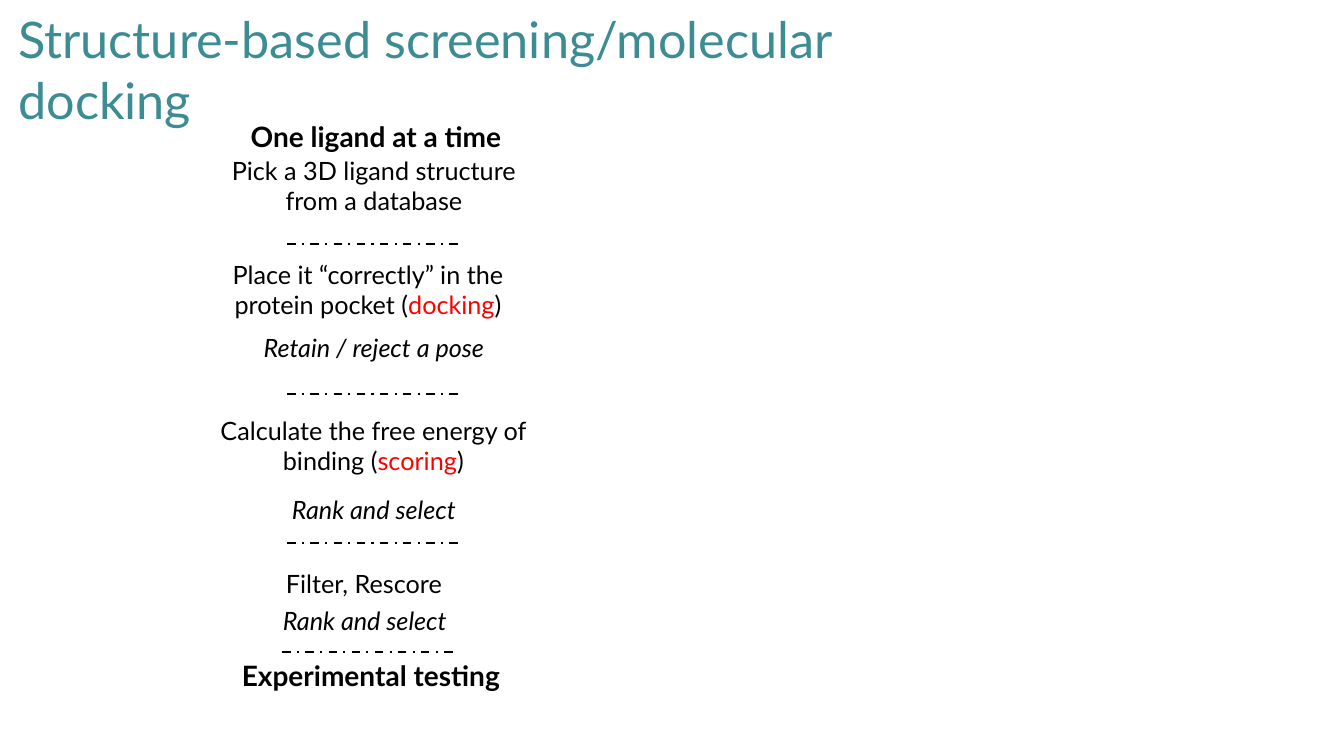
from pptx import Presentation
from pptx.dml.color import RGBColor
from pptx.enum.dml import MSO_LINE
from pptx.enum.shapes import MSO_CONNECTOR
from pptx.enum.text import MSO_ANCHOR, MSO_AUTO_SIZE, PP_ALIGN
from pptx.oxml.ns import qn
from pptx.util import Pt
from lxml import etree

FONT = "Lato"
BLACK, RED, TEAL = "000000", "FF0000", "3C8C93"

# left, top, width, height in points; runs of (wording, colour); format
STEPS = [
    ((148.3, 107.3, 237.6, 51.1), [("Pick a 3D ligand structure from a database", BLACK)], {}),
    ((131.8, 181.4, 262.1, 51.1), [("Place it “correctly” in the protein pocket (", BLACK),
                                   ("docking", RED), (")", BLACK)], {}),
    ((141.8, 293, 249.8, 51.1), [("Calculate the free energy of binding (", BLACK),
                                 ("scoring", RED), (")", BLACK)], {}),
    ((157, 402.5, 205.9, 28.8), [("Filter, Rescore", BLACK)], {}),
    ((148.3, 234, 237.6, 28.8), [("Retain / reject a pose", BLACK)], {"italic": True}),
    ((148.3, 349.2, 237.6, 28.8), [("Rank and select", BLACK)], {"italic": True}),
    ((141.8, 429.1, 237.6, 28.8), [("Rank and select", BLACK)], {"italic": True}),
    ((148.3, 466.6, 233.3, 31.7), [("Experimental testing", BLACK)], {"size": 20, "bold": True}),
    ((151.9, 82.1, 233.3, 31.7), [("One ligand at a time", BLACK)], {"size": 20, "bold": True}),
]
DIVIDERS = [(205.2, 174.2), (205.2, 281.5), (205.2, 388.1), (201.6, 465.8)]
DIVIDER_WIDTH = 122.4


def rgb(code):
    return RGBColor.from_string(code)


def write(frame, runs, size=18, bold=False, italic=False, align=PP_ALIGN.CENTER):
    frame.word_wrap = True
    paragraph = frame.paragraphs[0]
    paragraph.alignment = align
    for wording, colour in runs:
        run = paragraph.add_run()
        run.text = wording
        font = run.font
        font.name, font.size = FONT, Pt(size)
        font.bold, font.italic = bold, italic
        font.color.rgb = rgb(colour)


def place_title(slide, box):
    title = slide.shapes.title
    title.left, title.top, title.width, title.height = map(Pt, box)
    frame = title.text_frame
    frame.auto_size = MSO_AUTO_SIZE.NONE
    frame.vertical_anchor = MSO_ANCHOR.MIDDLE
    write(frame, [("Structure-based screening/molecular docking", TEAL)],
          size=36, align=PP_ALIGN.LEFT)


def add_step(slide, box, runs, style):
    step = slide.shapes.add_textbox(*map(Pt, box))
    write(step.text_frame, runs, **style)
    step.text_frame.auto_size = MSO_AUTO_SIZE.SHAPE_TO_FIT_TEXT


def add_divider(slide, left, top):
    divider = slide.shapes.add_connector(
        MSO_CONNECTOR.STRAIGHT, Pt(left), Pt(top), Pt(left + DIVIDER_WIDTH), Pt(top))
    divider.line.color.rgb = rgb(BLACK)
    divider.line.width = Pt(1.5)
    divider.line.dash_style = MSO_LINE.DASH_DOT
    etree.SubElement(divider.element.spPr, qn("a:effectLst"))


def build_docking_slide(deck):
    slide = deck.slides.add_slide(deck.slide_layouts[5])
    place_title(slide, (5.8, 4.3, 671.8, 90))
    for box, runs, style in STEPS:
        add_step(slide, box, runs, style)
    for left, top in DIVIDERS:
        add_divider(slide, left, top)


def main():
    deck = Presentation()
    deck.slide_width, deck.slide_height = Pt(960), Pt(540)
    build_docking_slide(deck)
    deck.save("out.pptx")


if __name__ == "__main__":
    main()
